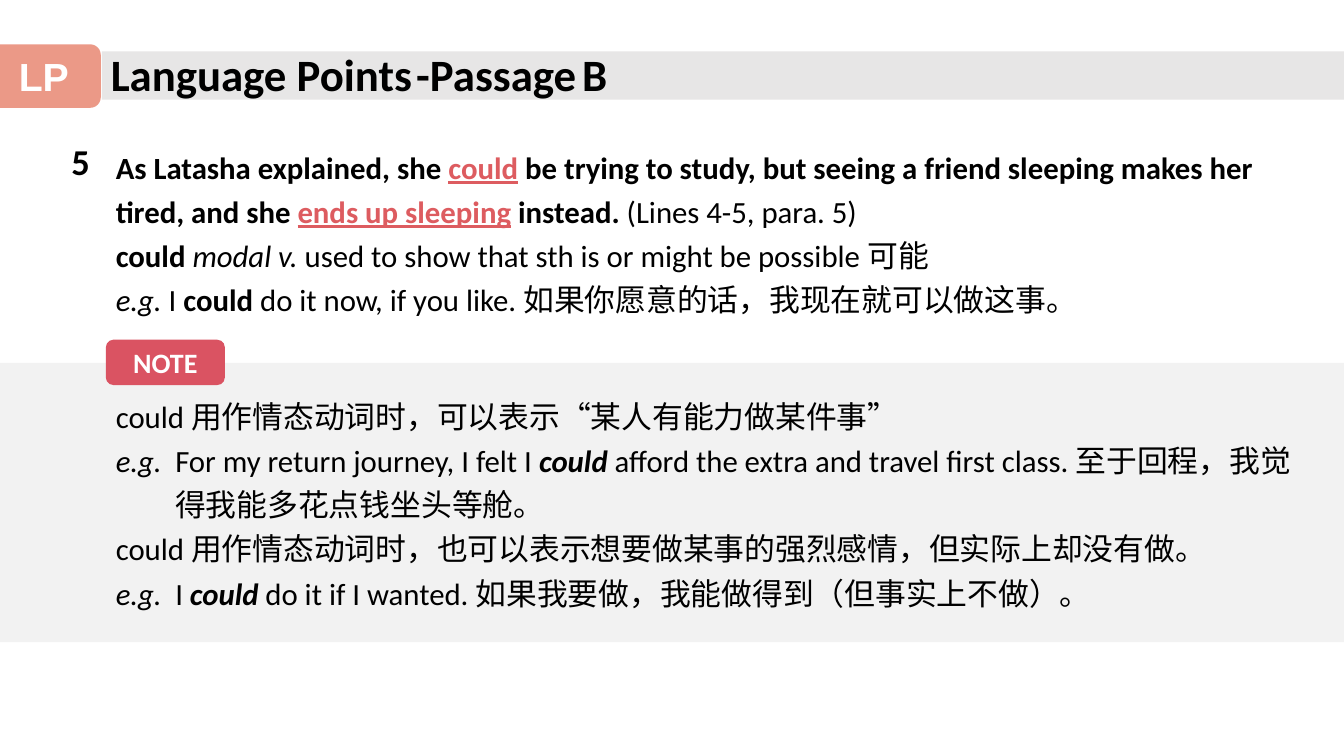
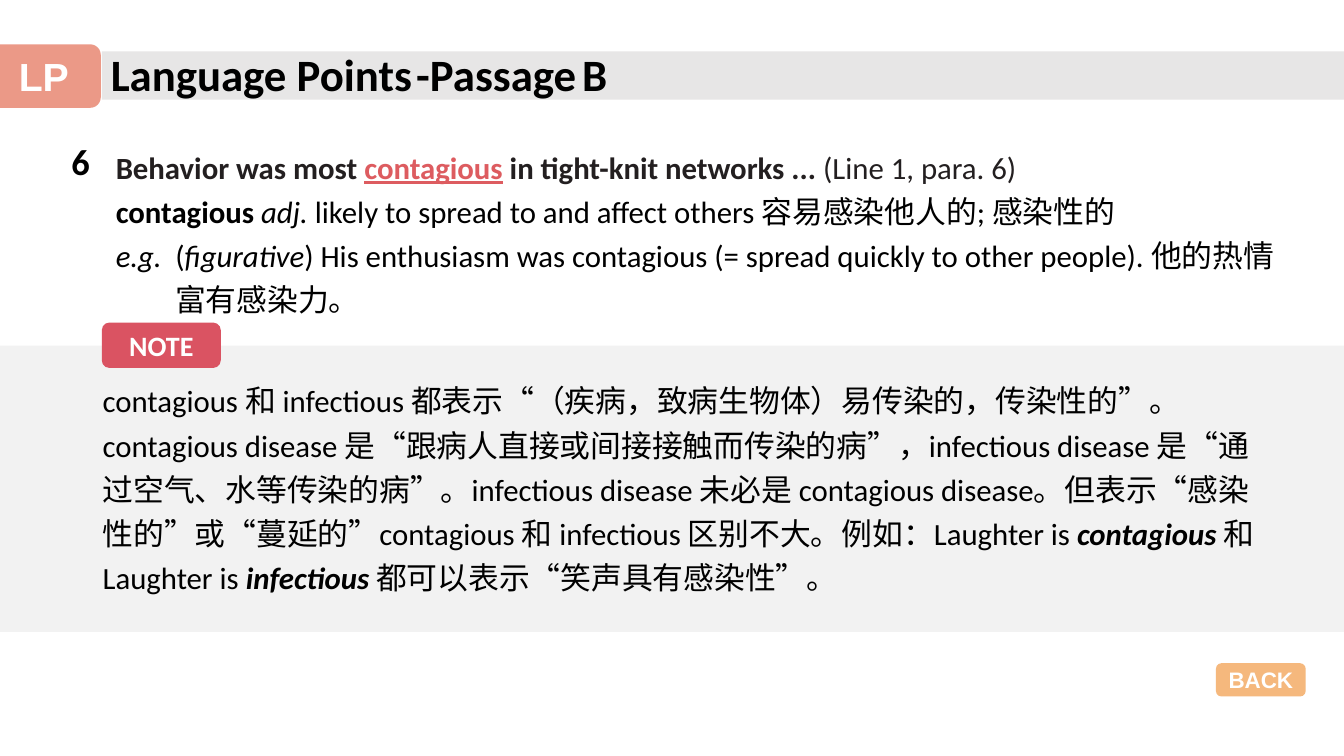
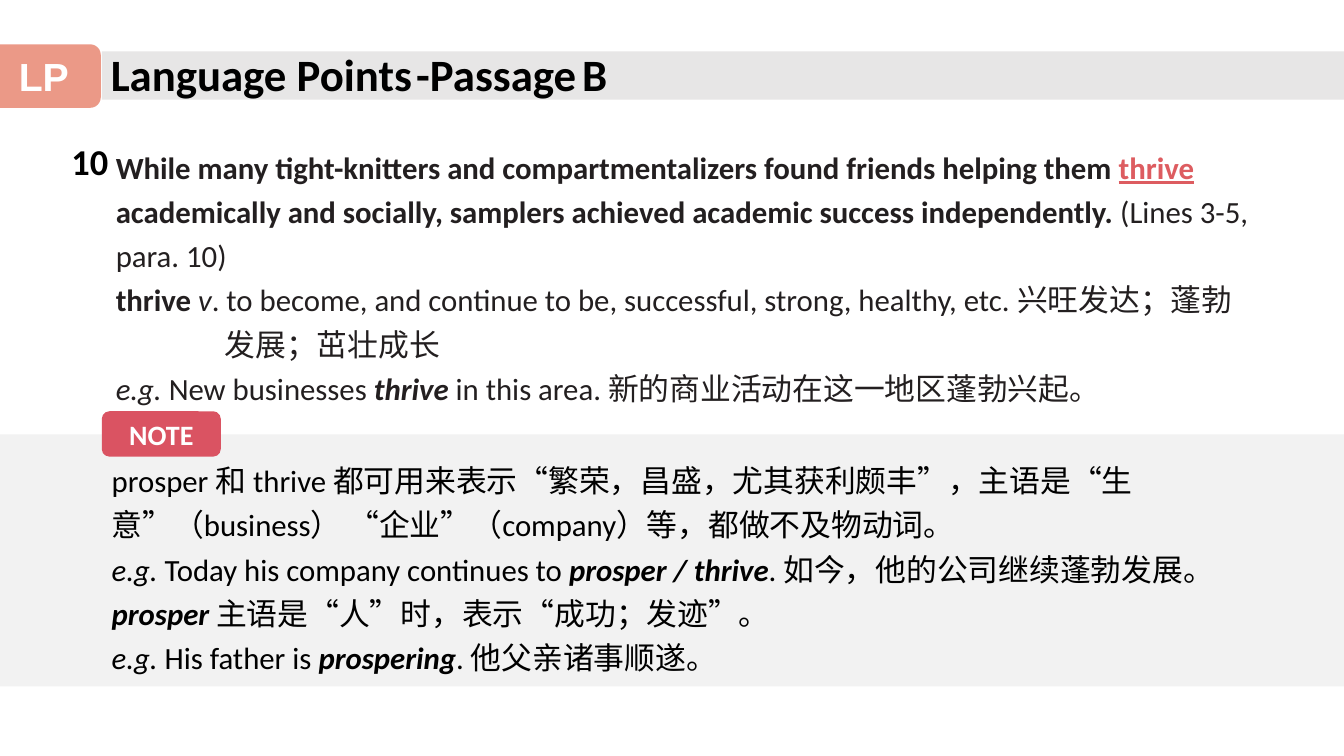
from dataclasses import dataclass
from lxml.etree import SubElement
from pptx import Presentation
from pptx.dml.color import RGBColor
from pptx.enum.shapes import MSO_SHAPE as Shape
from pptx.enum.text import MSO_ANCHOR as Anchor, MSO_AUTO_SIZE as AutoSize, PP_ALIGN as Align
from pptx.oxml.ns import qn
from pptx.util import Inches, Pt

COLORS = {
    "black": "000000",
    "ink": "231F20",
    "key": "DD5C60",
    "white": "FFFFFF",
    "title band": "E7E6E6",
    "note band": "F2F2F2",
    "note tag": "DA5362",
    "section tag": "E47057",
    "back button": "F19B48",
}
LATIN, CHINESE, LABEL = "Calibri", "Noto Sans CJK SC", "Arial"
PAGE_WIDTH, PAGE_HEIGHT = 13.33, 7.5
BODY_SIZE = 22
LINE_PITCH = 31.6
EXAMPLE_INDENT = 0.59


@dataclass
class Line:
    spans: list
    hang: float = 0
    color: str = "black"


def rgb(name):
    return RGBColor.from_string(COLORS[name])


def add_span(para, text, size, color, style="", font=LATIN):
    span = para.add_run()
    span.text = text
    span.font.name = CHINESE if "c" in style else font
    span.font.size = Pt(size)
    span.font.bold = "b" in style
    span.font.italic = "i" in style
    span.font.underline = "k" in style
    span.font.color.rgb = rgb("key" if "k" in style else color)
    SubElement(span.font._element, qn("a:ea")).set("typeface", CHINESE)


def add_text(page, left, top, width, height):
    box = page.shapes.add_textbox(Inches(left), Inches(top), Inches(width), Inches(height))
    frame = box.text_frame
    frame.word_wrap = True
    frame.auto_size = AutoSize.SHAPE_TO_FIT_TEXT
    return frame


def add_block(page, kind, color, left, top, width, height, opacity=100):
    block = page.shapes.add_shape(kind, Inches(left), Inches(top), Inches(width), Inches(height))
    block.shadow.inherit = False
    block.fill.solid()
    block.fill.fore_color.rgb = rgb(color)
    block.line.fill.background()
    if opacity < 100:
        fill = block._element.spPr.find(qn("a:solidFill"))
        SubElement(fill[0], qn("a:alpha")).set("val", str(opacity * 1000))
    return block


def add_tag(page, text, color, left, top, width, height, size, font=LABEL, opacity=100):
    tag = add_block(page, Shape.ROUNDED_RECTANGLE, color, left, top, width, height, opacity)
    frame = tag.text_frame
    frame.vertical_anchor = Anchor.MIDDLE
    frame.word_wrap = False
    para = frame.paragraphs[0]
    para.alignment = Align.CENTER
    add_span(para, text, size, "white", "b", font)


def add_lines(page, lines, left, top, width, height):
    frame = add_text(page, left, top, width, height)
    for index, line in enumerate(lines):
        para = frame.add_paragraph() if index else frame.paragraphs[0]
        para.line_spacing = Pt(LINE_PITCH)
        if line.hang:
            props = para._p.get_or_add_pPr()
            props.set("marL", str(Inches(line.hang)))
            props.set("indent", str(-Inches(line.hang)))
        for text, style in line.spans:
            add_span(para, text, BODY_SIZE, line.color, style)


def add_header(page):
    add_block(page, Shape.RECTANGLE, "title band", 1.01, 0.51, PAGE_WIDTH - 1.01, 0.48)
    title = add_text(page, 1, 0.41, 4.85, 0.64).paragraphs[0]
    add_span(title, "Language Points", 32, "black", "b")
    passage = add_text(page, 4.03, 0.41, 2.47, 0.64).paragraphs[0]
    add_span(passage, "-Passage", 32, "black", "b")
    add_span(passage, " ", 18, "black")
    add_span(passage, "B", 32, "black", "b")
    add_tag(page, "LP", "section tag", -0.13, 0.44, 1.13, 0.63, 28, opacity=71)


def add_point(page, number, lines, width, height):
    label = add_text(page, 0.61, 1.33, 0.63, 0.54).paragraphs[0]
    add_span(label, number, 26, "black", "b")
    add_lines(page, lines, 1.05, 1.35, width, height)


def add_note(page, lines, top, height, tag_left, text_left, text_offset):
    add_block(page, Shape.RECTANGLE, "note band", 0, top, PAGE_WIDTH, height)
    add_lines(page, lines, text_left, top + text_offset, 11.86, 2.3)
    add_tag(page, "NOTE", "note tag", tag_left, top - 0.23, 1.18, 0.45, 20, LATIN)


def add_page(deck, number, point, point_size, note, note_place):
    page = deck.slides.add_slide(deck.slide_layouts[6])
    add_header(page)
    add_note(page, note, *note_place)
    add_point(page, number, point, *point_size)
    return page


COULD_POINT = [
    Line([("As Latasha explained, she ", "b"), ("could", "bk"),
          (" be trying to study, but seeing a friend sleeping makes her tired, and she ", "b"),
          ("ends up sleeping", "bk"), (" instead. ", "b"), ("(Lines 4-5, para. 5)", "")]),
    Line([("could ", "b"), ("modal v.", "i"),
          (" used to show that sth is or might be possible 可能", "")]),
    Line([("e.g.", "i"), (" I ", ""), ("could", "b"),
          (" do it now, if you like. 如果你愿意的话，我现在就可以做这事。", "")]),
]
COULD_NOTE = [
    Line([("could 用作情态动词时，可以表示“某人有能力做某件事”", "")]),
    Line([("e.g.", "i"), ("\tFor my return journey, I felt I ", ""), ("could", "bi"),
          (" afford the extra and travel first class. 至于回程，我觉得我能多花点钱坐头等舱。", "")],
         EXAMPLE_INDENT),
    Line([("could 用作情态动词时，也可以表示想要做某事的强烈感情，但实际上却没有做。", "")]),
    Line([("e.g.", "i"), ("\tI ", ""), ("could", "bi"),
          (" do it if I wanted. 如果我要做，我能做得到（但事实上不做）。", "")], EXAMPLE_INDENT),
]
CONTAGIOUS_POINT = [
    Line([("Behavior was most ", "b"), ("contagious", "bk"),
          (" in tight-knit networks ... ", "b"), ("(Line 1, para. 6)", "")], color="ink"),
    Line([("contagious ", "b"), ("adj.", "i"),
          (" likely to spread to and affect others 容易感染他人的; 感染性的", "")]),
    Line([("e.g.", "i"), ("\t(", ""), ("figurative", "i"),
          (") His enthusiasm was contagious (= spread quickly to other people). "
           "他的热情富有感染力。", "")], EXAMPLE_INDENT),
]
CONTAGIOUS_NOTE = [
    Line([("contagious 和 infectious 都表示“（疾病，致病生物体）易传染的，传染性的”。"
           "contagious disease 是“跟病人直接或间接接触而传染的病”，"
           "infectious disease 是“通过空气、水等传染的病”。"
           "infectious disease 未必是 contagious disease。"
           "但表示“感染性的”或“蔓延的”contagious 和 infectious 区别不大。"
           "例如：Laughter is ", ""), ("contagious ", "bi"), ("和 Laughter is ", ""),
          ("infectious ", "bi"), ("都可以表示“笑声具有感染性”。", "")]),
]
THRIVE_POINT = [
    Line([("While many tight-knitters and compartmentalizers found friends helping them ", "b"),
          ("thrive ", "bk"),
          ("academically and socially, samplers achieved academic success independently. ", "b"),
          ("(Lines 3-5, para. 10)", "")], color="ink"),
    Line([("thrive ", "b"), ("v", "i"),
          (". to become, and continue to be, successful, strong, healthy, etc. ", ""),
          ("兴旺发达；蓬勃发展；茁壮成长", "c")], 1.08, "ink"),
    Line([("e.g. ", "i"), ("New businesses ", ""), ("thrive", "bi"), (" in this area. ", ""),
          ("新的商业活动在这一地区蓬勃兴起。", "c")], color="ink"),
]
THRIVE_NOTE = [
    Line([("prosper 和 thrive 都可用来表示“繁荣，昌盛，尤其获利颇丰”，"
           "主语是“生意”（business） “企业”（company）等，都做不及物动词。", "")]),
    Line([("e.g.", "i"), (" Today his company continues to ", ""), ("prosper / thrive", "bi"),
          (". 如今，他的公司继续蓬勃发展。", "")]),
    Line([("prosper ", "bi"), ("主语是“人”时，表示“成功；发迹”。", "")]),
    Line([("e.g.", "i"), (" His father is ", ""), ("prospering", "bi"),
          (". 他父亲诸事顺遂。", "")]),
]


def main():
    deck = Presentation()
    deck.slide_width, deck.slide_height = Inches(PAGE_WIDTH), Inches(PAGE_HEIGHT)
    add_page(deck, "5", COULD_POINT, (12.04, 1.84),
             COULD_NOTE, (3.6, 2.77, 1.05, 1.05, 0.22))
    contagious_page = add_page(deck, "6", CONTAGIOUS_POINT, (11.77, 1.84),
                               CONTAGIOUS_NOTE, (3.43, 2.84, 1.01, 0.92, 0.24))
    add_tag(contagious_page, "BACK", "back button", 12.06, 6.58, 0.89, 0.33, 16, opacity=71)
    add_page(deck, "10", THRIVE_POINT, (11.48, 2.73),
             THRIVE_NOTE, (4.31, 2.5, 1.01, 1.01, 0.15))
    deck.save("out.pptx")


if __name__ == "__main__":
    main()
